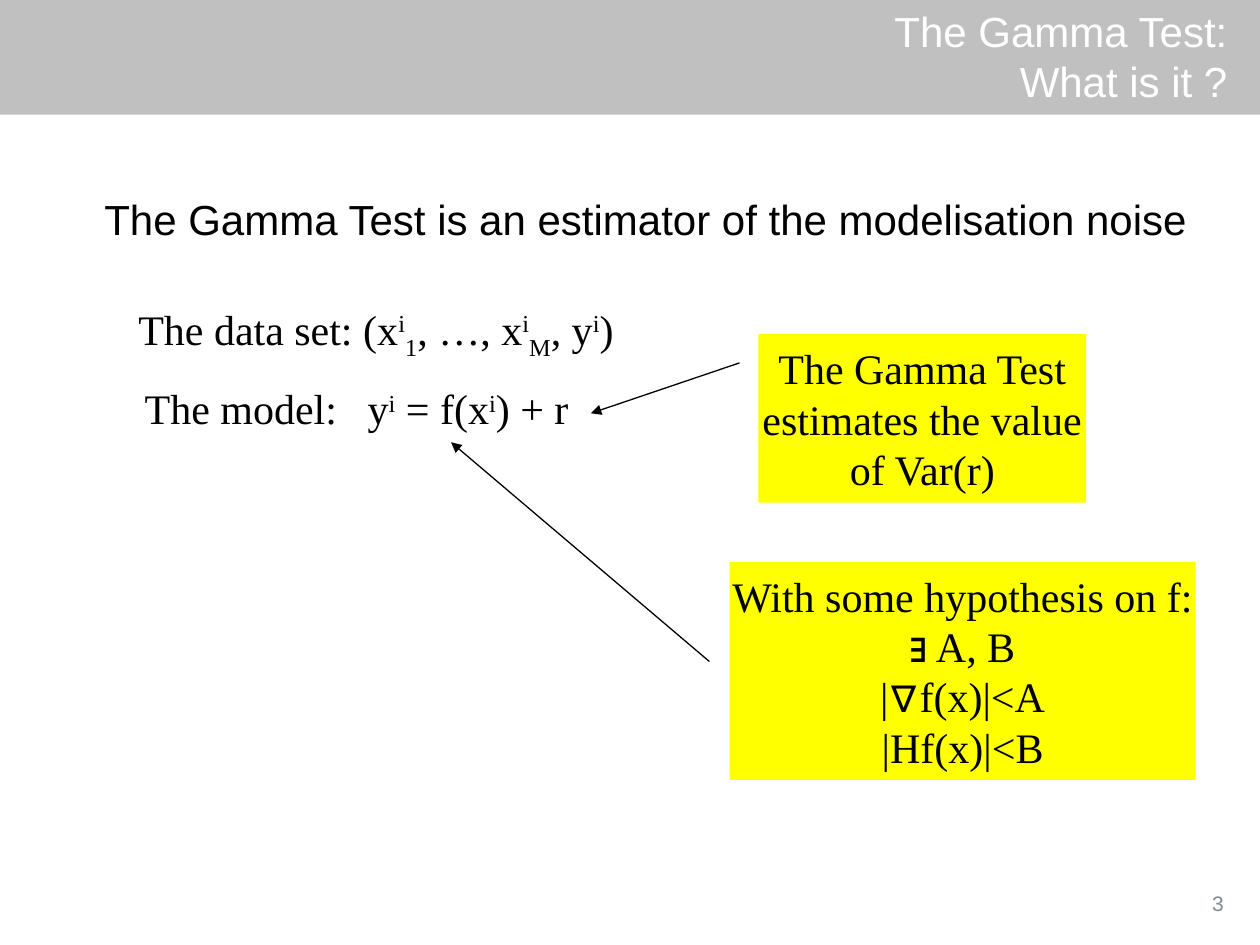
"""Build the slide that explains what the Gamma Test estimates."""
from lxml.etree import SubElement
from pptx import Presentation
from pptx.dml.color import RGBColor
from pptx.enum.shapes import MSO_CONNECTOR as CONN, MSO_SHAPE as SHAPE
from pptx.enum.text import MSO_ANCHOR as ANCHOR, PP_ALIGN as ALIGN
from pptx.oxml.ns import qn
from pptx.util import Inches, Pt

BLACK = RGBColor(0x00, 0x00, 0x00)
WHITE = RGBColor(0xFF, 0xFF, 0xFF)
SILVER = RGBColor(0xC0, 0xC0, 0xC0)
YELLOW = RGBColor(0xFF, 0xFF, 0x00)
GREY = RGBColor(0x80, 0x8C, 0x8C)
SANS, SERIF = "Arial", "Times New Roman"

SUP, SUB = {"baseline": 30}, {"baseline": -25}
SYMBOL = {"font": SANS}

BANNER = (0, 0, 10, 0.91)
TITLE = ((1.83, 0.08, 8.01, 0.72), ["The Gamma Test:\vWhat is it ?"])
HEADING = ((0.73, 1.49, 8.83, 0.5),
           ["The Gamma Test is an estimator of the modelisation noise"])
NUMBER = ((7.83, 7.02, 1.98, 0.5), ["3"])
FORMULAS = [
    ((1, 2.36, 3.97, 0.56),
     [["The data set: (x", ("i", SUP), ("1", SUB), ", …, x", ("i", SUP),
       ("M", SUB), ", y", ("i", SUP), ")"]]),
    ((1.05, 2.99, 3.57, 0.5),
     [["The model:\ty", ("i", SUP), " = f(x", ("i", SUP), ") + r"]]),
]
MODEL_TAB = 1.77
NOTES = [
    ((6.02, 2.65, 2.6, 1.34),
     ["The Gamma Test", "estimates the value", "of Var(r)"]),
    ((5.79, 4.46, 3.7, 1.73),
     ["With some hypothesis on f:", [("∃", SYMBOL), " A, B"],
      ["|", ("∇", SYMBOL), "f(x)|<A"], "|Hf(x)|<B"]),
]
ARROWS = [(5.87, 2.88, 4.69, 3.28), (5.63, 5.25, 3.58, 3.51)]


def add_run(p, text, baseline=None, font=None):
    r = p.add_run()
    r.text = text
    if font:
        r.font.name = font
    if baseline:
        r._r.get_or_add_rPr().set("baseline", str(baseline * 1000))


def add_tab(p, position):
    tabs = SubElement(p._p.get_or_add_pPr(), qn("a:tabLst"))
    SubElement(tabs, qn("a:tab"), pos=str(Inches(position)), algn="l")


def write(sp, lines, font=SANS, size=24, color=BLACK, align=ALIGN.LEFT,
          anchor=ANCHOR.TOP, wrap=False):
    tf = sp.text_frame
    tf.word_wrap = wrap
    tf.vertical_anchor = anchor
    for i, line in enumerate(lines):
        p = tf.paragraphs[0] if i == 0 else tf.add_paragraph()
        p.alignment = align
        p.font.name, p.font.size = font, Pt(size)
        p.font.color.rgb = color
        if isinstance(line, str):
            p.text = line
            continue
        for part in line:
            text, style = (part, {}) if isinstance(part, str) else part
            add_run(p, text, **style)


def add_text(s, box, lines, tab=None, **style):
    sp = s.shapes.add_textbox(*map(Inches, box))
    if tab:
        add_tab(sp.text_frame.paragraphs[0], tab)
    write(sp, lines, **style)


def add_rect(s, box, color):
    sp = s.shapes.add_shape(SHAPE.RECTANGLE, *map(Inches, box))
    sp.shadow.inherit = False
    sp.fill.solid()
    sp.fill.fore_color.rgb = color
    sp.line.fill.background()
    return sp


def add_arrow(s, ends):
    cn = s.shapes.add_connector(CONN.STRAIGHT, *map(Inches, ends))
    cn.line.color.rgb = BLACK
    cn.line.width = Pt(0.75)
    SubElement(cn.line._get_or_add_ln(), qn("a:tailEnd"), type="triangle")
    SubElement(cn._element.spPr, qn("a:effectLst"))


def main():
    prs = Presentation()
    prs.slide_width, prs.slide_height = Inches(10), Inches(7.5)
    s = prs.slides.add_slide(prs.slide_layouts[6])
    add_rect(s, BANNER, SILVER)
    add_text(s, *TITLE, color=WHITE, align=ALIGN.RIGHT,
             anchor=ANCHOR.MIDDLE, wrap=True)
    add_text(s, *HEADING)
    for (box, lines), tab in zip(FORMULAS, (None, MODEL_TAB)):
        add_text(s, box, lines, tab=tab, font=SERIF)
    for (box, lines), ends in zip(NOTES, ARROWS):
        write(add_rect(s, box, YELLOW), lines, font=SERIF,
              align=ALIGN.CENTER, anchor=ANCHOR.MIDDLE)
        add_arrow(s, ends)
    add_text(s, *NUMBER, size=12, color=GREY, align=ALIGN.RIGHT, wrap=True)
    prs.save("out.pptx")


if __name__ == "__main__":
    main()
